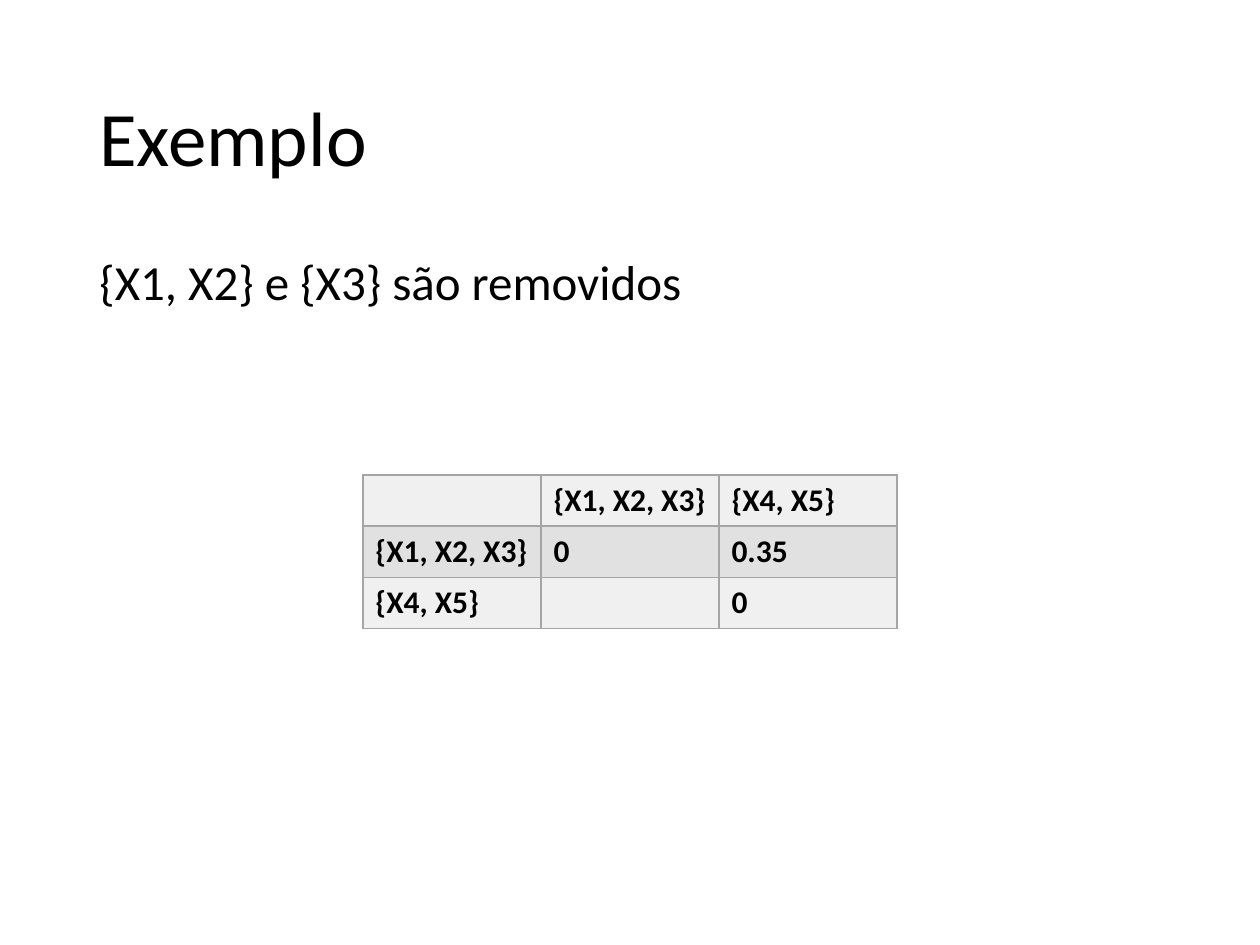
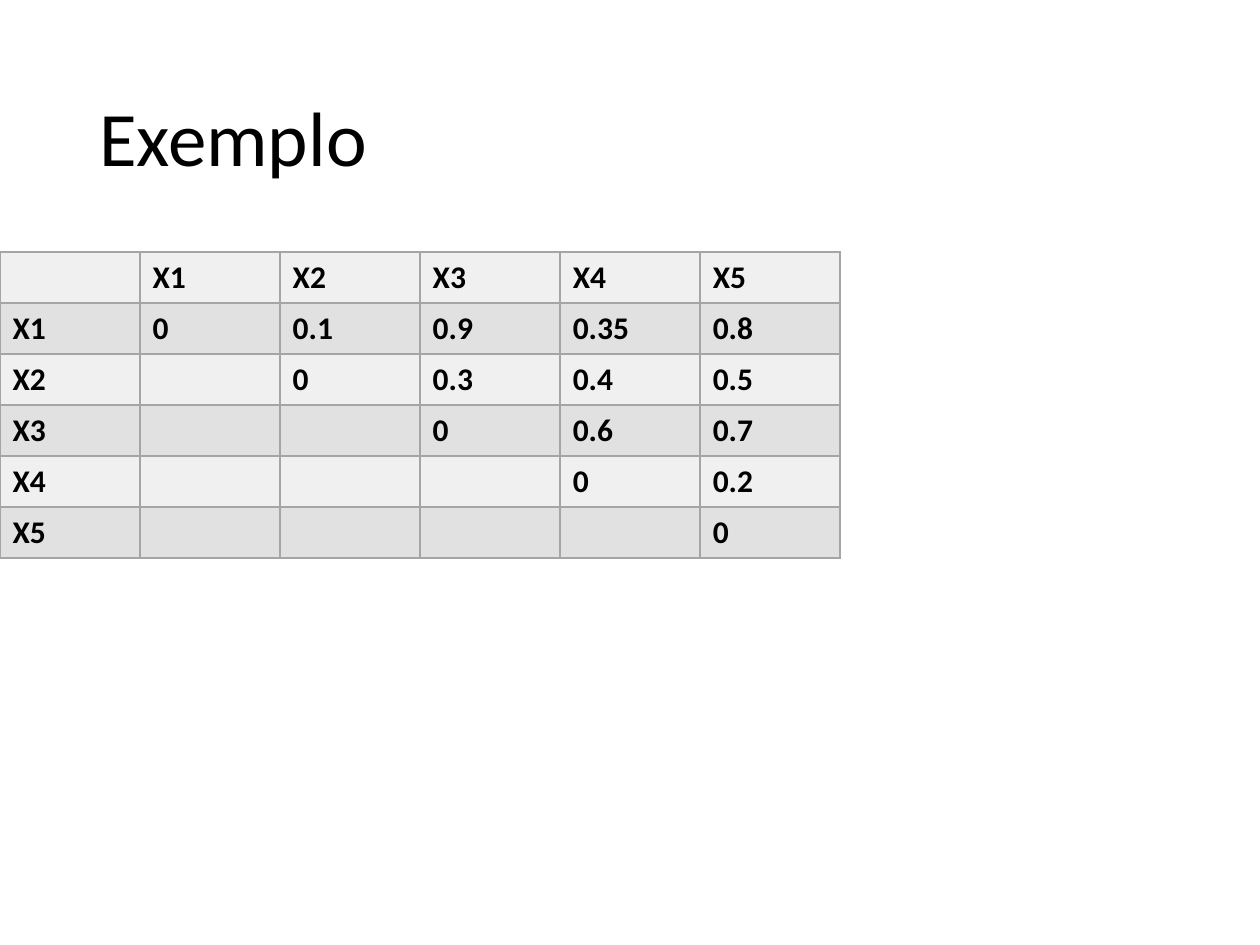
from dataclasses import dataclass

from lxml.etree import SubElement
from pptx import Presentation
from pptx.dml.color import RGBColor
from pptx.enum.text import MSO_ANCHOR
from pptx.oxml.ns import qn
from pptx.util import Inches, Pt


@dataclass(frozen=True)
class Theme:
    font: str = "Calibri"
    text: str = "000000"
    band_light: str = "F0F0F0"
    band_dark: str = "E1E1E1"
    border: str = "A5A5A5"
    border_width: int = Pt(1)
    title_size: int = Pt(44)
    body_size: int = Pt(28)
    table_size: int = Pt(18)


THEME = Theme()
MARGIN = Inches(0.69)
CONTENT_WIDTH = Inches(8.62)
CONTENT_TOP = Inches(2)


def style_paragraph(paragraph, size, bold=False):
    font = paragraph.font
    font.name = THEME.font
    font.size = size
    font.bold = bold
    font.color.rgb = RGBColor.from_string(THEME.text)


def add_text(slide, text, top, height, size, anchor=MSO_ANCHOR.TOP, space_before=0):
    text_box = slide.shapes.add_textbox(MARGIN, top, CONTENT_WIDTH, height)
    frame = text_box.text_frame
    frame.word_wrap = True
    frame.vertical_anchor = anchor
    paragraph = frame.paragraphs[0]
    paragraph.text = text
    paragraph.line_spacing = 0.9
    paragraph.space_before = Pt(space_before)
    style_paragraph(paragraph, size)


def add_example_slide(presentation):
    """Add a blank slide with the shared title."""
    slide = presentation.slides.add_slide(presentation.slide_layouts[6])
    add_text(slide, "Exemplo", Inches(0.4), Inches(1.45), THEME.title_size,
             MSO_ANCHOR.MIDDLE)
    return slide


def set_borders(cell):
    properties = cell._tc.get_or_add_tcPr()
    for index, side in enumerate(("a:lnL", "a:lnR", "a:lnT", "a:lnB")):
        line = properties.makeelement(qn(side), {"w": str(THEME.border_width)})
        fill = SubElement(line, qn("a:solidFill"))
        SubElement(fill, qn("a:srgbClr"), val=THEME.border)
        properties.insert(index, line)


def distance_rows(labels, distances):
    """Turn the upper triangle of distances into labelled table rows."""
    rows = [["", *labels]]
    for index, (label, values) in enumerate(zip(labels, distances)):
        rows.append([label, *[""] * index, *values])
    return rows


def add_distance_table(slide, labels, distances, left, top, width, height):
    rows = distance_rows(labels, distances)
    size = len(rows)
    table = slide.shapes.add_table(size, size, left, top, width, height).table
    table.first_row = False
    table.horz_banding = False
    for row_index, row in enumerate(rows):
        band = THEME.band_dark if row_index % 2 else THEME.band_light
        for column_index, value in enumerate(row):
            cell = table.cell(row_index, column_index)
            cell.text = str(value)
            style_paragraph(cell.text_frame.paragraphs[0], THEME.table_size, bold=True)
            cell.fill.solid()
            cell.fill.fore_color.rgb = RGBColor.from_string(band)
            set_borders(cell)


def add_clusters_slide(presentation):
    slide = add_example_slide(presentation)
    add_text(slide, "{X1, X2} e {X3} são removidos", CONTENT_TOP, Inches(4.76),
             THEME.body_size, space_before=10)
    add_distance_table(slide, ["{X1, X2, X3}", "{X4, X5}"], [[0, 0.35], [0]],
                       Inches(2.88), Inches(3.77), Inches(4.24), Inches(1.22))


def add_points_slide(presentation):
    slide = add_example_slide(presentation)
    distances = [
        [0, 0.1, 0.9, 0.35, 0.8],
        [0, 0.3, 0.4, 0.5],
        [0, 0.6, 0.7],
        [0, 0.2],
        [0],
    ]
    add_distance_table(slide, ["X1", "X2", "X3", "X4", "X5"], distances,
                       Inches(0), CONTENT_TOP, Inches(6.67), Inches(2.43))


def main():
    presentation = Presentation()
    presentation.slide_width = Inches(10)
    presentation.slide_height = Inches(7.5)
    add_clusters_slide(presentation)
    add_points_slide(presentation)
    presentation.save("out.pptx")


if __name__ == "__main__":
    main()
